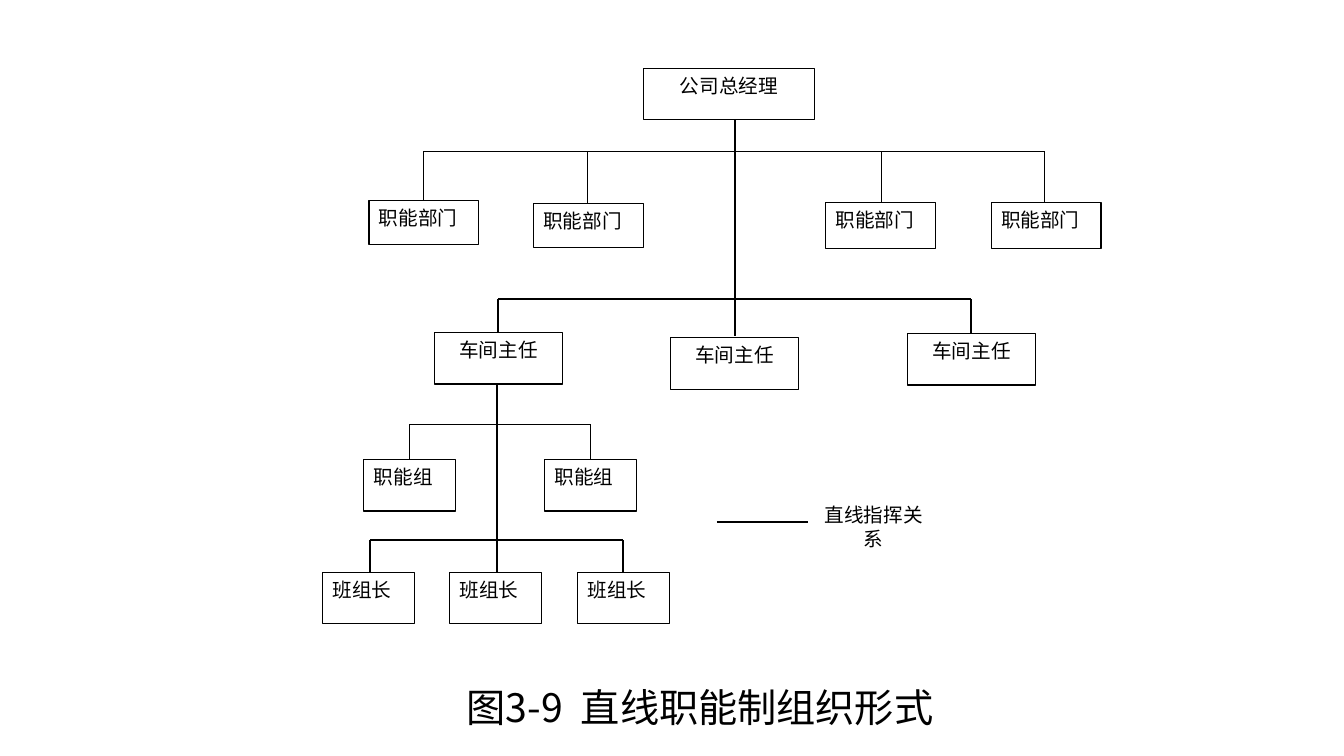
from dataclasses import dataclass

from lxml import etree
from pptx import Presentation
from pptx import util as u
from pptx.dml import color
from pptx.enum import shapes, text
from pptx.oxml import ns

COLORS = {"ink": "000000", "paper": "FFFFFF"}
BOX_FONT, CAPTION_FONT = "Times New Roman", "Noto Sans CJK SC"
THIN, THICK = 0.75, 1.5
CENTER, JUSTIFY = text.PP_ALIGN.CENTER, text.PP_ALIGN.JUSTIFY


@dataclass
class Rank:
    """Boxes of one size and label, given by their corners."""
    label: str
    width: float
    height: float
    corners: list[tuple[float, float]]
    align: text.PP_ALIGN = JUSTIFY
    font: str = BOX_FONT
    outlined: bool = True


@dataclass
class Branch:
    """A horizontal bar with a drop to each subordinate."""
    y: float
    drops: list[float]
    length: float
    weight: float


RANKS = [
    Rank("公司总经理", 1.7, 0.51, [(6.38, 0.68)], CENTER, "Arial"),
    Rank("职能部门", 1.09, 0.44, [(3.66, 1.99), (5.29, 2.02)]),
    Rank("职能部门", 1.09, 0.46, [(8.19, 2.01), (9.83, 2.01)]),
    Rank("车间主任", 1.27, 0.51, [(4.31, 3.3), (6.65, 3.35), (9, 3.31)], CENTER),
    Rank("职能组", 0.91, 0.51, [(3.61, 4.56), (5.4, 4.56)]),
    Rank("班组长", 0.91, 0.51, [(3.2, 5.68), (4.46, 5.68), (5.73, 5.68)]),
    Rank("直线指挥关系", 1.27, 0.51, [(8.03, 4.94)], CENTER, outlined=False),
]
BRANCHES = [
    Branch(1.5, [4.2, 5.83, 8.74, 10.36], 0.52, THIN),
    Branch(2.97, [4.94, 7.29, 9.63], 0.36, THICK),
    Branch(4.21, [4.06, 5.86], 0.36, THIN),
    Branch(5.36, [3.67, 4.93, 6.18], 0.34, THICK),
]


def rgb(name: str) -> color.RGBColor:
    return color.RGBColor.from_string(COLORS[name])


def add_run(paragraph, words: str, size: float, font: str):
    run = paragraph.add_run()
    run.text = words
    run.font.size = u.Pt(size)
    run.font.name = font
    run.font.color.rgb = rgb("ink")
    return run


def draw_line(slide, x1: float, y1: float, x2: float, y2: float, weight: float) -> None:
    line = slide.shapes.add_connector(
        shapes.MSO_CONNECTOR.STRAIGHT,
        u.Inches(x1), u.Inches(y1), u.Inches(x2), u.Inches(y2))
    line.line.color.rgb = rgb("ink")
    line.line.width = u.Pt(weight)
    etree.SubElement(line._element.spPr, ns.qn("a:effectLst"))


def draw_branch(slide, branch: Branch) -> None:
    draw_line(slide, branch.drops[0], branch.y, branch.drops[-1], branch.y, branch.weight)
    for x in branch.drops:
        draw_line(slide, x, branch.y, x, branch.y + branch.length, branch.weight)


def draw_rank(slide, rank: Rank) -> None:
    for left, top in rank.corners:
        post = slide.shapes.add_shape(
            shapes.MSO_SHAPE.RECTANGLE, u.Inches(left), u.Inches(top),
            u.Inches(rank.width), u.Inches(rank.height))
        post.shadow.inherit = False
        post.fill.solid()
        post.fill.fore_color.rgb = rgb("paper")
        if rank.outlined:
            post.line.color.rgb = rgb("ink")
            post.line.width = u.Pt(THIN)
        else:
            post.line.fill.background()
        post.text_frame.word_wrap = True
        post.text_frame.vertical_anchor = text.MSO_ANCHOR.TOP
        paragraph = post.text_frame.paragraphs[0]
        paragraph.alignment = rank.align
        add_run(paragraph, rank.label, 14, rank.font)


def draw_caption(slide) -> None:
    caption = slide.shapes.title
    caption.left, caption.top = u.Inches(4.53), u.Inches(6.73)
    caption.width, caption.height = u.Inches(5.91), u.Inches(0.57)
    frame = caption.text_frame
    frame.word_wrap = True
    frame.auto_size = text.MSO_AUTO_SIZE.NONE
    frame.vertical_anchor = text.MSO_ANCHOR.TOP
    paragraph = frame.paragraphs[0]
    paragraph.alignment = text.PP_ALIGN.LEFT
    for words in ("图3-9", " ", "直线职能制组织形式"):
        run = add_run(paragraph, words, 28, CAPTION_FONT)
        properties = run.font._element
        etree.SubElement(properties, ns.qn("a:ea"), typeface=CAPTION_FONT)
        if words == " ":
            properties.set("spc", "650")  # widens the gap after the number


def main() -> None:
    deck = Presentation()
    deck.slide_width, deck.slide_height = u.Inches(13.33), u.Inches(7.5)
    slide = deck.slides.add_slide(deck.slide_layouts[5])

    # Chain of command: trunks, then branches
    draw_line(slide, 7.29, 1.18, 7.29, 2.97, THICK)
    draw_line(slide, 4.93, 3.82, 4.93, 5.36, THICK)
    for branch in BRANCHES:
        draw_branch(slide, branch)

    # Posts and the legend label
    for rank in RANKS:
        draw_rank(slide, rank)

    # Legend sample and figure caption
    draw_line(slide, 7.11, 5.18, 8.01, 5.18, THICK)
    draw_caption(slide)
    deck.save("out.pptx")


if __name__ == "__main__":
    main()
